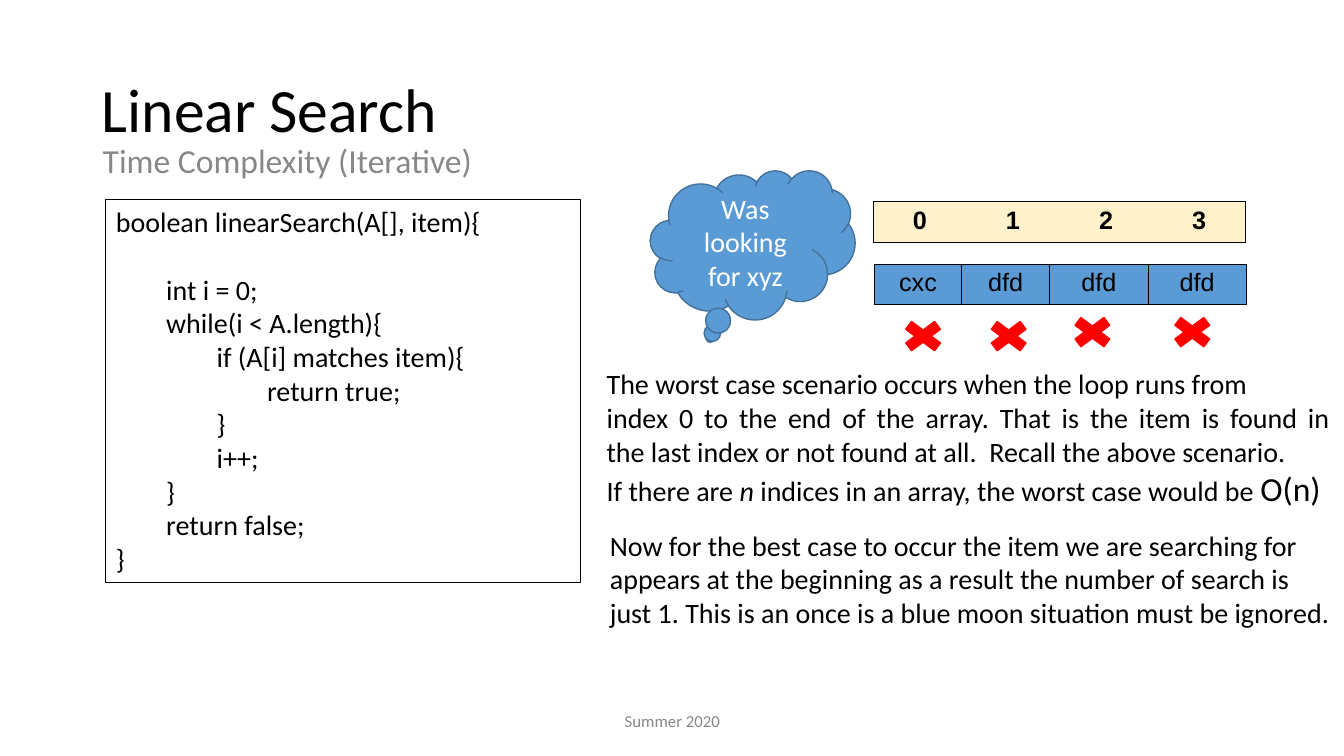
from lxml import etree
from pptx import Presentation, util as u
from pptx.dml.color import RGBColor
from pptx.enum import shapes, text
from pptx.oxml import ns

COLORS = {
    "black": "000000", "grey": "888888", "white": "FFFFFF", "blue": "5B9BD5",
    "navy": "42719B", "cream": "FFF2CC", "red": "FF0000",
}
SHAPE = shapes.MSO_SHAPE
ALIGN = text.PP_ALIGN
ANCHOR = text.MSO_ANCHOR


def rgb(name):
    return RGBColor.from_string(COLORS[name])


class SlideMaker:
    """Holds the style and the current slide; lengths are percent of slide size."""

    font, size, color = "Calibri", 20, "black"

    def __init__(self, prs):
        self.prs = prs
        self.s = prs.slides.add_slide(prs.slide_layouts[6])

    def x(self, share):
        return round(self.prs.slide_width * share / 100)

    def y(self, share):
        return round(self.prs.slide_height * share / 100)

    def box(self, left, top, width, height):
        return self.x(left), self.y(top), self.x(width), self.y(height)

    def run(self, p, words, size=None, color=None, font=None, bold=False, italic=False):
        r = p.add_run()
        r.text = words
        r.font.name = font or self.font
        r.font.size = u.Pt(size or self.size)
        r.font.color.rgb = rgb(color or self.color)
        r.font.bold, r.font.italic = bold, italic

    def fill_text(self, tf, paragraphs, align=ALIGN.LEFT, anchor=ANCHOR.TOP, spacing=None,
                  **style):
        """Each paragraph is a list of runs (words, own style); None is a line break."""
        tf.word_wrap = True
        tf.vertical_anchor = anchor
        for i, runs in enumerate(paragraphs):
            p = tf.add_paragraph() if i else tf.paragraphs[0]
            p.alignment = align
            p.line_spacing = spacing
            for item in runs:
                if item is None:
                    p.add_line_break()
                else:
                    words, own = item
                    self.run(p, words, **{**style, **own})

    def text(self, place, paragraphs, **style):
        sp = self.s.shapes.add_textbox(*self.box(*place))
        self.fill_text(sp.text_frame, paragraphs, **style)

    def shape(self, kind, place, fill, line, width=1, adjust=()):
        sp = self.s.shapes.add_shape(kind, *self.box(*place))
        sp.shadow.inherit = False
        if fill:
            sp.fill.solid()
            sp.fill.fore_color.rgb = rgb(fill)
        else:
            sp.fill.background()
        sp.line.color.rgb = rgb(line)
        sp.line.width = u.Pt(width)
        for i, value in enumerate(adjust):
            sp.adjustments[i] = value
        return sp

    def border(self, cell, sides):
        tcPr = cell._tc.get_or_add_tcPr()
        for side in "LRTB":
            ln = etree.SubElement(tcPr, ns.qn("a:ln" + side), w=str(u.Pt(0.75)))
            if side in sides:
                fill = etree.SubElement(ln, ns.qn("a:solidFill"))
                etree.SubElement(fill, ns.qn("a:srgbClr"), val=COLORS["black"])
            else:
                etree.SubElement(ln, ns.qn("a:noFill"))

    def row_table(self, left, top, height, widths, values, fill, inner, bold=False):
        place = self.box(left, top, sum(widths), height)
        table = self.s.shapes.add_table(1, len(values), *place).table
        table.first_row = table.horz_banding = False
        for i, (width, value) in enumerate(zip(widths, values)):
            table.columns[i].width = self.x(width)
            cell = table.cell(0, i)
            first, last = i == 0, i == len(values) - 1
            self.border(cell, "TB" + "L" * (inner or first) + "R" * (inner or last))
            cell.fill.solid()
            cell.fill.fore_color.rgb = rgb(fill)
            p = cell.text_frame.paragraphs[0]
            p.alignment = ALIGN.CENTER
            self.run(p, value, size=18, font="Arial", bold=bold)


def plain(*lines):
    return [[(line, {})] for line in lines]


def main():
    prs = Presentation()
    prs.slide_width, prs.slide_height = u.Inches(13.33), u.Inches(7.5)
    m = SlideMaker(prs)

    # Headings and footer
    m.text((6.83, 8.4, 86.25, 11.6), plain("Linear Search"),
           size=44, anchor=ANCHOR.BOTTOM, spacing=0.9)
    m.text((6.9, 18.4, 86.25, 8.27), plain("Time Complexity (Iterative)"),
           size=24, color="grey", spacing=0.9)
    m.text((33.15, 92.67, 33.75, 5.33), plain("Summer 2020"),
           size=12, color="grey", align=ALIGN.CENTER, anchor=ANCHOR.MIDDLE)

    # Code listing, with a gap of one line below the signature
    code = m.shape(SHAPE.RECTANGLE, (7.88, 26.4, 35.33, 50.67), None, "black", 0.75)
    m.fill_text(code.text_frame, plain(
        "boolean linearSearch(A[], item){",
        "\tint i = 0;",
        "\twhile(i < A.length){",
        "\t\tif (A[i] matches item){",
        "\t\t\treturn true;",
        "\t\t}",
        "\t\ti++;",
        "\t}",
        "\treturn false;",
        "}"))
    code.text_frame.paragraphs[1].space_before = u.Pt(24.4)

    # Worst case
    m.text((44.4, 47.87, 56.1, 20.13), [
        [("The worst case scenario occurs when the loop runs from ", {})],
        [("index 0 to the end of the array. That is the item is found in ", {}), None,
         ("the last index or not found at all.  Recall the above scenario.", {})],
        [("If there are ", {}), ("n", {"italic": True}),
         (" indices in an array, the worst case would be ", {}), ("O(n)", {"size": 24})],
    ], align=ALIGN.JUSTIFY)

    # Array items and their indices
    m.row_table(65.04, 34.93, 5.4, (6.53, 6.53, 7.35, 7.27),
                ("cxc", "dfd", "dfd", "dfd"), "blue", inner=True)
    m.row_table(64.97, 26.67, 5.2, (6.93,) * 4, "0123", "cream", inner=False, bold=True)

    # A cross under each item
    for left, top in ((66.62, 41.73), (72.99, 41.73), (79.22, 41.2), (86.65, 41.2)):
        m.shape(SHAPE.MATH_MULTIPLY, (left, top, 4.13, 5.47), "red", "red", adjust=[0.235])

    # Thought cloud
    cloud = m.shape(SHAPE.CLOUD_CALLOUT, (48.39, 22.53, 15.23, 19.73), "blue", "navy",
                    adjust=(-0.208, 0.625))
    m.fill_text(cloud.text_frame, plain("Was looking for xyz"),
                color="white", align=ALIGN.CENTER, anchor=ANCHOR.MIDDLE)

    # Best case
    m.text((44.64, 69.2, 55.95, 14.8), plain(
        "Now for the best case to occur the item we are searching for",
        "appears at the beginning as a result the number of search is",
        "just 1. This is an once is a blue moon situation must be ignored."))

    prs.save("out.pptx")


if __name__ == "__main__":
    main()
